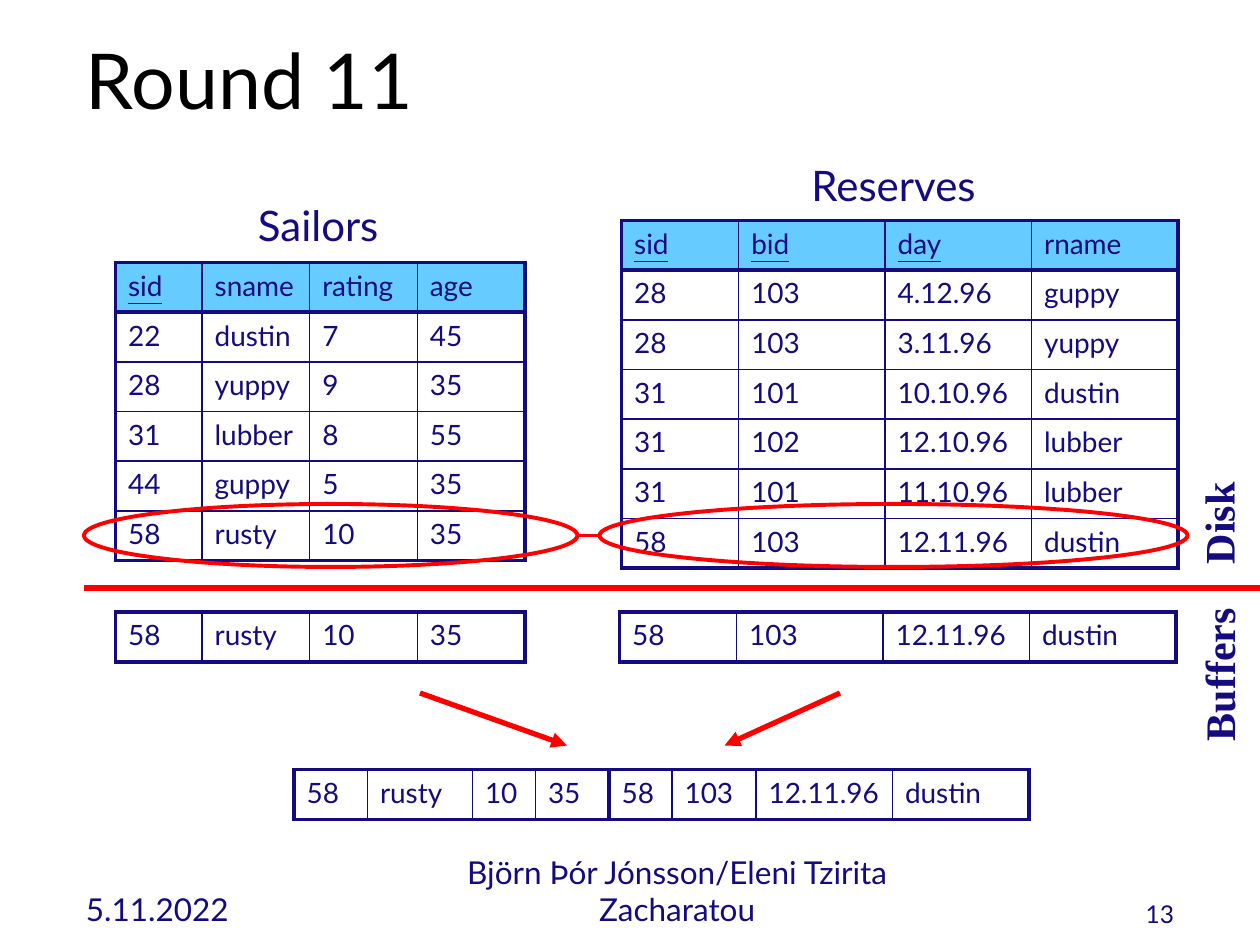
from dataclasses import dataclass
from typing import Optional

from lxml import etree
from pptx import Presentation, util as u
from pptx.dml.color import RGBColor
from pptx.enum import shapes as sh, text as t
from pptx.oxml.ns import qn

NAVY = RGBColor(0x13, 0x0B, 0x7F)
SKY = RGBColor(0x66, 0xCC, 0xFF)
WHITE = RGBColor(0xFF, 0xFF, 0xFF)
RED = RGBColor(0xFF, 0, 0)
BLACK = RGBColor(0, 0, 0)

SANS, SERIF = "Lato", "Times New Roman"
THICK, THIN = 2.25, 1
ROW = 4.73  # height of a table row in grid units
LEFT, MID, RIGHT = t.PP_ALIGN.LEFT, t.PP_ALIGN.CENTER, t.PP_ALIGN.RIGHT
TOP, CENTRE, LOW = t.MSO_ANCHOR.TOP, t.MSO_ANCHOR.MIDDLE, t.MSO_ANCHOR.BOTTOM


@dataclass
class Label:
    words: str
    box: tuple
    size: int
    align: t.PP_ALIGN = LEFT
    anchor: t.MSO_ANCHOR = TOP
    font: str = SANS
    color: RGBColor = NAVY
    turn: int = 0


@dataclass
class Grid:
    x: float
    y: float
    cols: tuple
    rows: list
    fill: Optional[RGBColor] = None
    head: bool = False
    keys: tuple = ()  # underlined headings


@dataclass
class Line:
    start: tuple
    end: tuple
    width: float = 3
    arrow: bool = False


def g(n: float) -> int:
    """Grid of 120 columns by 90 rows on a 10 by 7.5 inch slide."""
    return u.Inches(n / 12)


def style(font, **form) -> None:
    font.color.rgb = form.pop("color", NAVY)
    for name, value in form.items():
        setattr(font, name, value)


def add_label(slide, lab: Label) -> None:
    box = slide.shapes.add_textbox(*map(g, lab.box))
    box.rotation = lab.turn
    frame = box.text_frame
    form = {"word_wrap": not lab.turn, "vertical_anchor": lab.anchor,
            "auto_size": t.MSO_AUTO_SIZE.NONE}
    for name, value in form.items():
        setattr(frame, name, value)
    para = frame.paragraphs[0]
    para.alignment = lab.align
    run = para.add_run()
    run.text = lab.words
    style(run.font, name=lab.font, size=u.Pt(lab.size),
          bold=bool(lab.turn), color=lab.color)


def add_edge(cell, side: str, width: float) -> None:
    edge = etree.SubElement(cell._tc.get_or_add_tcPr(), qn("a:ln" + side),
                            w=str(u.Pt(width)))
    fill = etree.SubElement(edge, qn("a:solidFill"))
    etree.SubElement(fill, qn("a:srgbClr"), val=str(NAVY))


def add_grid(slide, grid: Grid) -> None:
    high, wide = len(grid.rows), len(grid.cols)
    table = slide.shapes.add_table(high, wide, g(grid.x), g(grid.y),
                                   g(sum(grid.cols)), g(ROW * high)).table
    table.first_row = grid.head
    table.horz_banding = False
    for col, width in zip(table.columns, grid.cols):
        col.width = g(width)
    for i, row in enumerate(grid.rows):
        for j, word in enumerate(row):
            cell = table.cell(i, j)
            first = grid.head and i == 0
            # Thick outer frame and heading rule, thin inner lines
            thick = {"L": j == 0, "R": j == wide - 1,
                     "T": i == 0 or (grid.head and i == 1),
                     "B": i == high - 1 or first}
            for side, heavy in thick.items():
                add_edge(cell, side, THICK if heavy else THIN)
            paint = SKY if first else grid.fill
            if paint is None:
                cell.fill.background()
            else:
                cell.fill.solid()
                cell.fill.fore_color.rgb = paint
            run = cell.text_frame.paragraphs[0].add_run()
            run.text = word
            style(run.font, name=SANS, size=u.Pt(16), bold=False,
                  underline=first and word in grid.keys)


def add_line(slide, line: Line) -> None:
    link = slide.shapes.add_connector(sh.MSO_CONNECTOR.STRAIGHT,
                                      *map(g, line.start + line.end))
    link.line.color.rgb = RED
    link.line.width = u.Pt(line.width)
    if line.arrow:
        etree.SubElement(link.line._get_or_add_ln(), qn("a:tailEnd"),
                         type="triangle")
    etree.SubElement(link._element.spPr, qn("a:effectLst"))


def add_ring(slide, box: tuple) -> None:
    ring = slide.shapes.add_shape(sh.MSO_SHAPE.OVAL, *map(g, box))
    ring.shadow.inherit = False
    ring.fill.background()
    ring.line.color.rgb = RED
    ring.line.width = u.Pt(THICK)


SAILORS = [line.split() for line in (
    "sid sname rating age", "22 dustin 7 45", "28 yuppy 9 35",
    "31 lubber 8 55", "44 guppy 5 35", "58 rusty 10 35")]
RESERVES = [line.split() for line in (
    "sid bid day rname", "28 103 4.12.96 guppy", "28 103 3.11.96 yuppy",
    "31 101 10.10.96 dustin", "31 102 12.10.96 lubber",
    "31 101 11.10.96 lubber", "58 103 12.11.96 dustin")]
S_COLS = (8.25,) + (10.25,) * 3
R_COLS = (11.15,) + (13.95,) * 3

# Relations on disk
DISK = [Grid(11, 25, S_COLS, SAILORS, WHITE, True, ("sid",)),
        Grid(59.2, 21, R_COLS, RESERVES, None, True, ("sid", "bid", "day"))]
# Current tuples in the buffers, and the joined result
BUFFERS = [Grid(59, 58.3, R_COLS, RESERVES[-1:]),
           Grid(11, 58.3, S_COLS, SAILORS[-1:], WHITE),
           Grid(28, 73.3, (7, 10, 6, 7), SAILORS[-1:], WHITE),
           Grid(58, 73.3, (6, 8, 13, 13), RESERVES[-1:])]
RINGS = [(8, 48, 47, 6), (57.1, 48, 56, 6)]
LINES = [Line((8, 56), (120, 56)),
         Line((55, 51), (57, 51), THICK),
         Line((40, 66), (54, 71), arrow=True),
         Line((80, 66), (69, 71), arrow=True)]
LABELS = [
    Label("Round 11", (7, 0, 80, 15), 44, anchor=CENTRE, color=BLACK),
    Label("Sailors", (10.8, 18.4, 39, 6), 24, MID),
    Label("Reserves", (58.2, 14.6, 53.8, 6), 24, MID),
    Label("Buffers", (108.5, 61.3, 15.1, 6), 24, RIGHT, font=SERIF, turn=270),
    Label("Disk", (110.9, 46.8, 10.2, 6), 24, font=SERIF, turn=270),
    Label("5.11.2022", (7, 83, 25, 6), 18, anchor=LOW),
    Label("Björn Þór Jónsson/Eleni Tzirita Zacharatou", (41, 83, 47, 6), 18,
          MID, LOW),
    Label("13", (88, 83, 25, 6), 14, RIGHT, LOW),
]


def main() -> None:
    deck = Presentation()
    deck.slide_width, deck.slide_height = g(120), g(90)
    slide = deck.slides.add_slide(deck.slide_layouts[6])
    for draw, parts in ((add_grid, DISK), (add_ring, RINGS),
                        (add_line, LINES), (add_grid, BUFFERS),
                        (add_label, LABELS)):
        for part in parts:
            draw(slide, part)
    deck.save("out.pptx")


if __name__ == "__main__":
    main()
